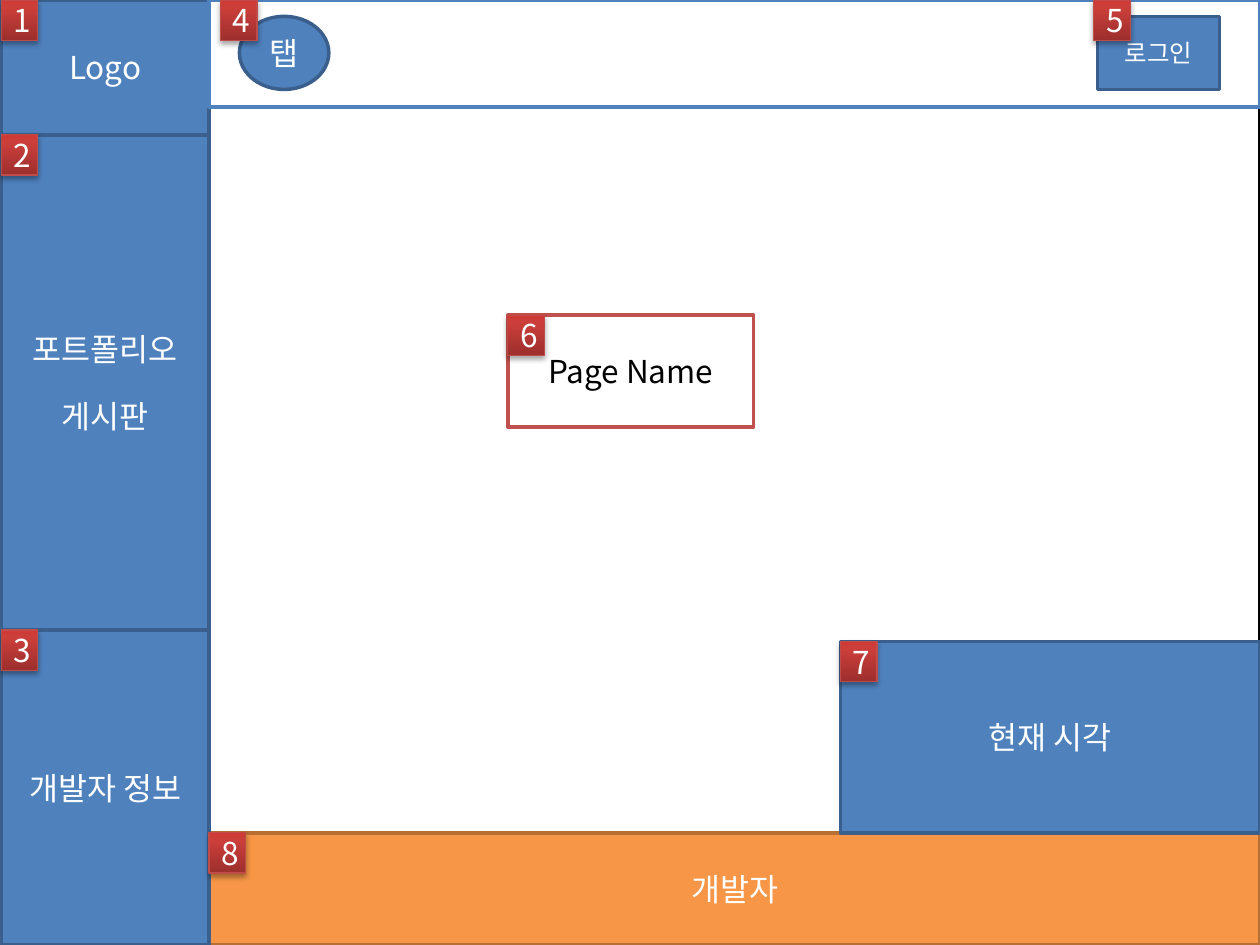
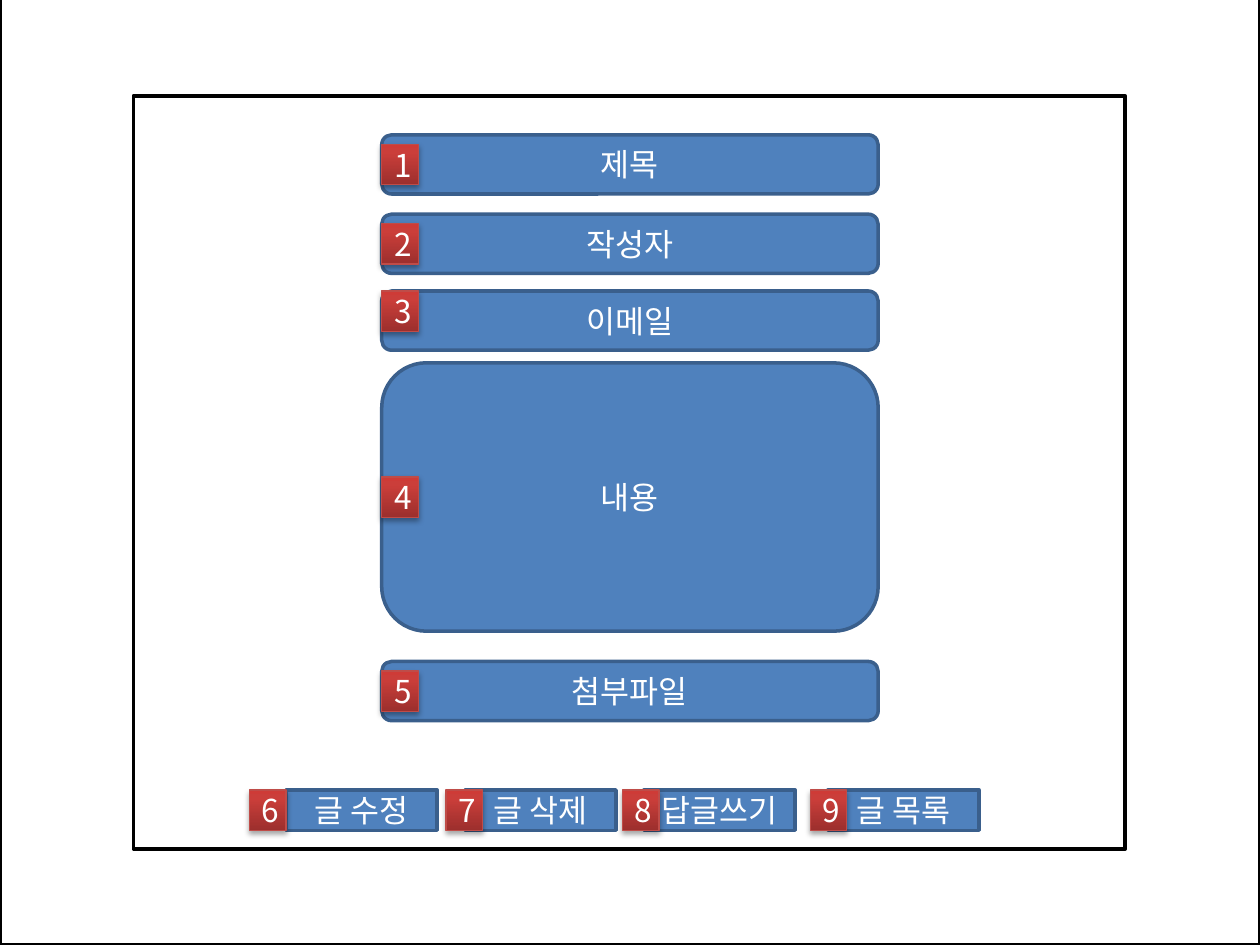
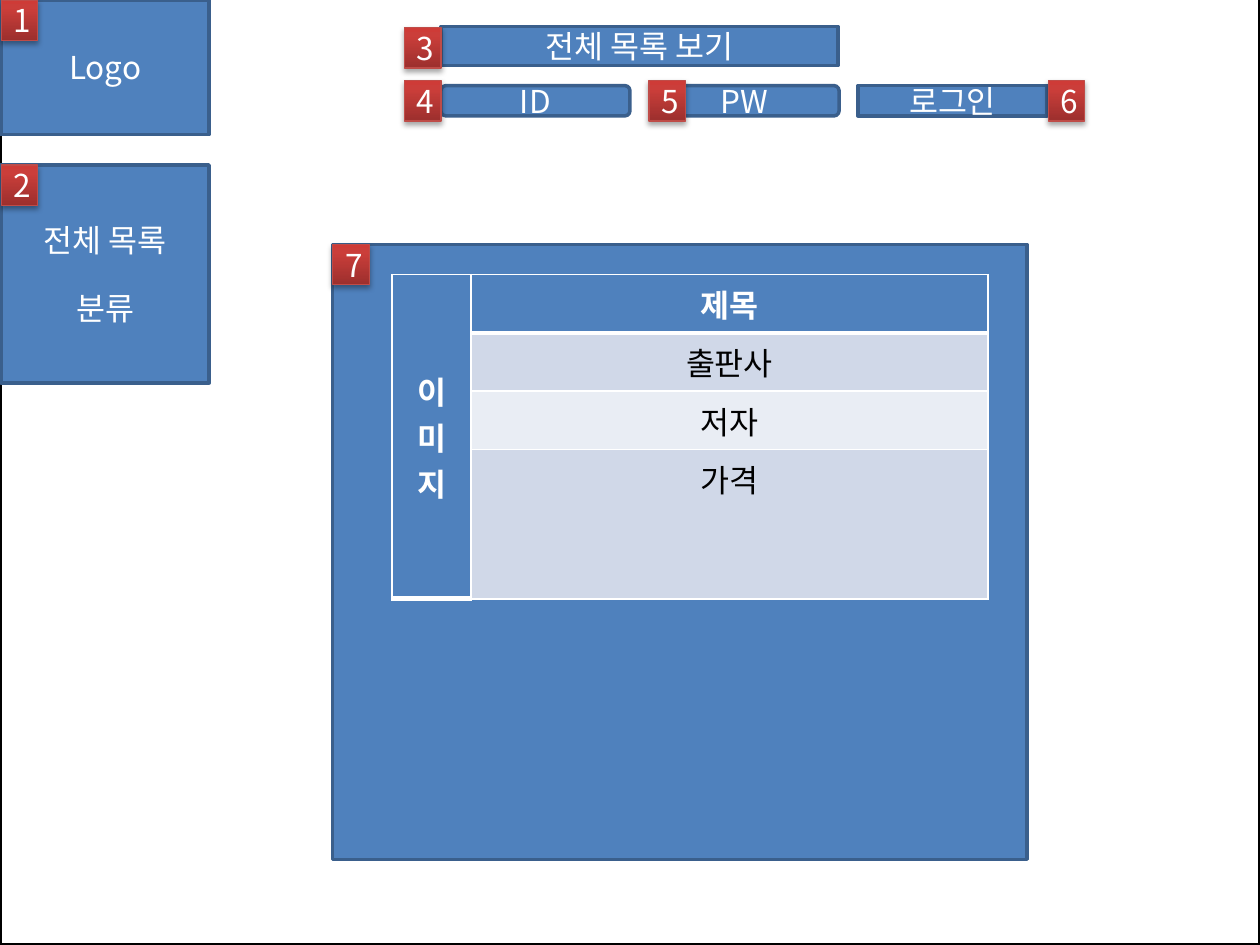
from copy import deepcopy

from lxml.etree import SubElement
from pptx import Presentation
from pptx.dml.color import RGBColor
from pptx.enum.shapes import MSO_SHAPE
from pptx.enum.text import MSO_ANCHOR, PP_ALIGN
from pptx.oxml.ns import qn
from pptx.util import Inches, Pt

RECT = MSO_SHAPE.RECTANGLE
ROUND = MSO_SHAPE.ROUNDED_RECTANGLE
OVAL = MSO_SHAPE.OVAL
MIDDLE = MSO_ANCHOR.MIDDLE
CENTER = PP_ALIGN.CENTER

FONT = "Noto Sans CJK KR"
WHITE = RGBColor(0xFF, 0xFF, 0xFF)
BLACK = RGBColor(0, 0, 0)
BLUE = RGBColor(0x4F, 0x81, 0xBD)
NAVY = RGBColor(0x3A, 0x5F, 0x8C)
ORANGE = RGBColor(0xF7, 0x96, 0x46)
BROWN = RGBColor(0xB7, 0x6F, 0x34)
RED = RGBColor(0xC0, 0x50, 0x4D)
EDGE = RGBColor(0xBF, 0x4C, 0x48)
PALE = RGBColor(0xD0, 0xD8, 0xE8)
LIGHT = RGBColor(0xE9, 0xED, 0xF4)
STOPS = [(0, RGBColor(0x9C, 0x2F, 0x2D)), (0.8, RGBColor(0xCB, 0x3E, 0x3A)),
         (1, RGBColor(0xCE, 0x3B, 0x37))]

# Box styles: preset, fill, line, font colour, font size
PANEL = (RECT, BLUE, NAVY, WHITE, 18)
FIELD = (ROUND, BLUE, NAVY, WHITE, 18)
TAB = (OVAL, BLUE, NAVY, WHITE, 18)
SMALL = (RECT, BLUE, NAVY, WHITE, 14)
FOOT = (RECT, ORANGE, BROWN, WHITE, 18)
BAR = (RECT, WHITE, BLUE, WHITE, 18)
NAME = (RECT, WHITE, RED, BLACK, 18)
FRAME = (RECT, WHITE, BLACK, BLACK, 18)

TAG_W, TAG_H = 0.29, 0.32
SIDE_X, SIDE_W = 0.01, 1.65
MAIN_X, MAIN_W = 1.66, 8.34
PARA_GAP = 17
PAGE = (FRAME, 0, -0.03, 10, 7.53, "")
LOGO = (PANEL, SIDE_X, 0, SIDE_W, 1.07, "Logo")

# Main page: boxes are style, left, top, width, height, text
MAIN = [
    (FRAME, 0.01, 0, 9.99, 7.5, ""),
    (FOOT, MAIN_X, 6.61, MAIN_W, 0.89, "개발자"),
    (PANEL, SIDE_X, 1.07, SIDE_W, 3.93, "포트폴리오\n게시판"),
    (PANEL, SIDE_X, 5, SIDE_W, 2.5, "개발자 정보"),
    LOGO,
    (BAR, MAIN_X, 0, MAIN_W, 0.85, ""),
    (TAB, 1.9, 0.13, 0.71, 0.58, "탭"),
    (SMALL, 8.71, 0.13, 0.97, 0.58, "로그인"),
    (PANEL, 6.67, 5.09, 3.33, 1.52, "현재 시각"),
    (NAME, 4.03, 2.5, 1.95, 0.89, "Page Name"),
]
MAIN_TAGS = [(SIDE_X, 0), (SIDE_X, 1.07), (SIDE_X, 5), (1.75, 0), (8.68, 0),
             (4.03, 2.5), (6.67, 5.09), (MAIN_X, 6.61)]

# Post page: form rows, then buttons with their tags
FORM_X, FORM_W, BUTTON_Y = 3.03, 3.94, 6.27
ROWS = [("제목", 1.07, 0.47), ("작성자", 1.7, 0.47), ("이메일", 2.31, 0.47),
        ("내용", 2.88, 2.13), ("첨부파일", 5.25, 0.47)]
BUTTONS = [("글 수정", 2.27, 1.98), ("글 삭제", 3.69, 3.54),
           ("답글쓰기", 5.11, 4.94), ("글 목록", 6.57, 6.43)]
POST = [PAGE, (FRAME, 1.06, 0.76, 7.87, 5.98, "")]
POST += [(FIELD, FORM_X, y, FORM_W, h, text) for text, y, h in ROWS]
POST += [(PANEL, x, BUTTON_Y, 1.2, TAG_H, text) for text, x, _ in BUTTONS]
POST_TAGS = [(FORM_X, y if text == "이메일" else y + (h - TAG_H) / 2)
             for text, y, h in ROWS]
POST_TAGS += [(x, BUTTON_Y) for _, _, x in BUTTONS]

# List page
LIST = [
    PAGE,
    (PANEL, 3.5, 0.21, 3.15, 0.31, "전체 목록 보기"),
    (FIELD, 3.5, 0.68, 1.5, 0.24, "ID"),
    (FIELD, 5.16, 0.68, 1.5, 0.24, "PW"),
    (PANEL, 6.81, 0.68, 1.5, 0.24, "로그인"),
    LOGO,
    (PANEL, SIDE_X, 1.31, SIDE_W, 1.73, "전체 목록\n분류"),
    (PANEL, 2.64, 1.94, 5.51, 4.88, ""),
]
LIST_TAGS = [(SIDE_X, 0), (SIDE_X, 1.31), (3.21, 0.22), (3.21, 0.64),
             (5.15, 0.64), (8.32, 0.64), (2.64, 1.94)]
COLS = [0.63, 4.1]
BOOK = [("제목", 0.3, BLUE), ("출판사", 0.26, PALE), ("저자", 0.26, LIGHT),
        ("가격", 0.26, PALE)]


def write(frame, text, color, size=18, bold=False):
    frame.text = text
    for i, para in enumerate(frame.paragraphs):
        para.alignment = CENTER
        if i:
            para.space_before = Pt(PARA_GAP)
        font = para.font
        font.name, font.size, font.bold = FONT, Pt(size), bold
        font.color.rgb = color
        props = para._p.pPr.find(qn("a:defRPr"))
        SubElement(props, qn("a:ea"), typeface=FONT)


def add_box(slide, style, x, y, w, h, text):
    preset, fill, line, color, size = style
    box = slide.shapes.add_shape(preset, *map(Inches, (x, y, w, h)))
    box.shadow.inherit = False
    box.fill.solid()
    box.fill.fore_color.rgb = fill
    box.line.color.rgb = line
    box.line.width = Pt(2)
    if text:
        box.text_frame.vertical_anchor = MIDDLE
        write(box.text_frame, text, color, size)
    return box


def add_tag(slide, x, y, number):
    tag = add_box(slide, PANEL, x, y, TAG_W, TAG_H, str(number))
    tag.line.color.rgb = EDGE
    tag.line.width = Pt(0.75)
    # Red gradient, dark at the bottom
    tag.fill.gradient()
    tag.fill.gradient_angle = 90
    props = tag._element.spPr
    stops = props.find(".//" + qn("a:gsLst"))
    stops.append(deepcopy(stops[0]))
    for stop, (place, color) in zip(tag.fill.gradient_stops, STOPS):
        stop.position = place
        stop.color.rgb = color
    # Soft shadow below
    shade = SubElement(props.find(qn("a:effectLst")), qn("a:outerShdw"),
                       blurRad=str(Pt(3.1)), dist=str(Pt(1.8)),
                       dir="5400000", rotWithShape="0")
    black = SubElement(shade, qn("a:srgbClr"), val=str(BLACK))
    SubElement(black, qn("a:alpha"), val="35000")


def style_cell(cell, fill, base):
    props = cell._tc.get_or_add_tcPr()
    for side, width in (("L", 1), ("R", 1), ("T", 1), ("B", base)):
        line = SubElement(props, qn("a:ln" + side), w=str(Pt(width)))
        paint = SubElement(line, qn("a:solidFill"))
        SubElement(paint, qn("a:srgbClr"), val=str(WHITE))
    cell.fill.solid()
    cell.fill.fore_color.rgb = fill


def add_book(slide):
    table = slide.shapes.add_table(
        len(BOOK), len(COLS), *map(Inches, (3.11, 2.18, 4.72, 1.6))).table
    for col, width in zip(table.columns, COLS):
        col.width = Inches(width)
    for i, (text, height, fill) in enumerate(BOOK):
        head = i == 0
        table.rows[i].height = Inches(height)
        style_cell(table.cell(i, 0), BLUE, 3)
        cell = table.cell(i, 1)
        style_cell(cell, fill, 3 if head else 1)
        write(cell.text_frame, text, WHITE if head else BLACK, bold=head)
    cover = table.cell(0, 0)
    cover.merge(table.cell(len(BOOK) - 1, 0))
    cover.vertical_anchor = MIDDLE
    write(cover.text_frame, "이미지", WHITE, bold=True)


def main():
    deck = Presentation()
    deck.slide_width, deck.slide_height = Inches(10), Inches(7.5)
    pages = [(MAIN, MAIN_TAGS), (POST, POST_TAGS), (LIST, LIST_TAGS)]
    for boxes, tags in pages:
        slide = deck.slides.add_slide(deck.slide_layouts[6])
        for box in boxes:
            add_box(slide, *box)
        if boxes is LIST:
            add_book(slide)
        for number, (x, y) in enumerate(tags, 1):
            add_tag(slide, x, y, number)
    deck.save("out.pptx")


if __name__ == "__main__":
    main()
